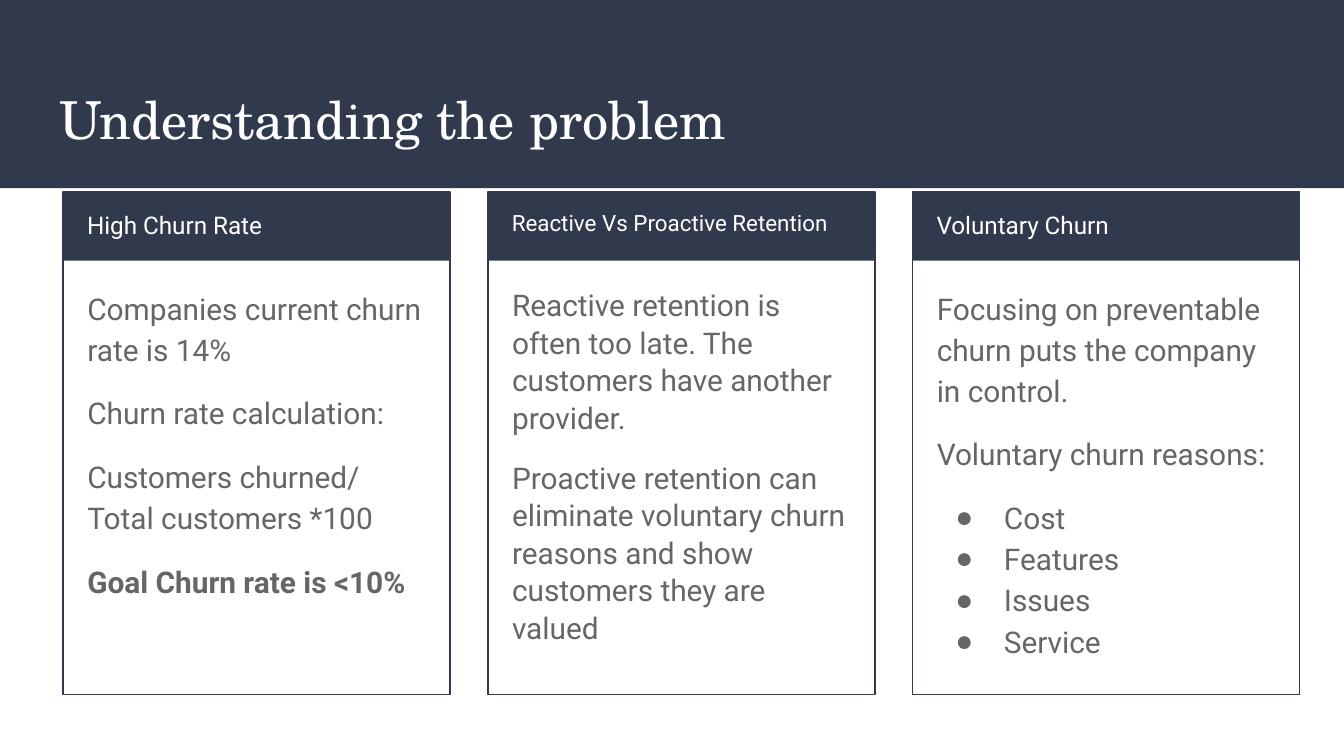
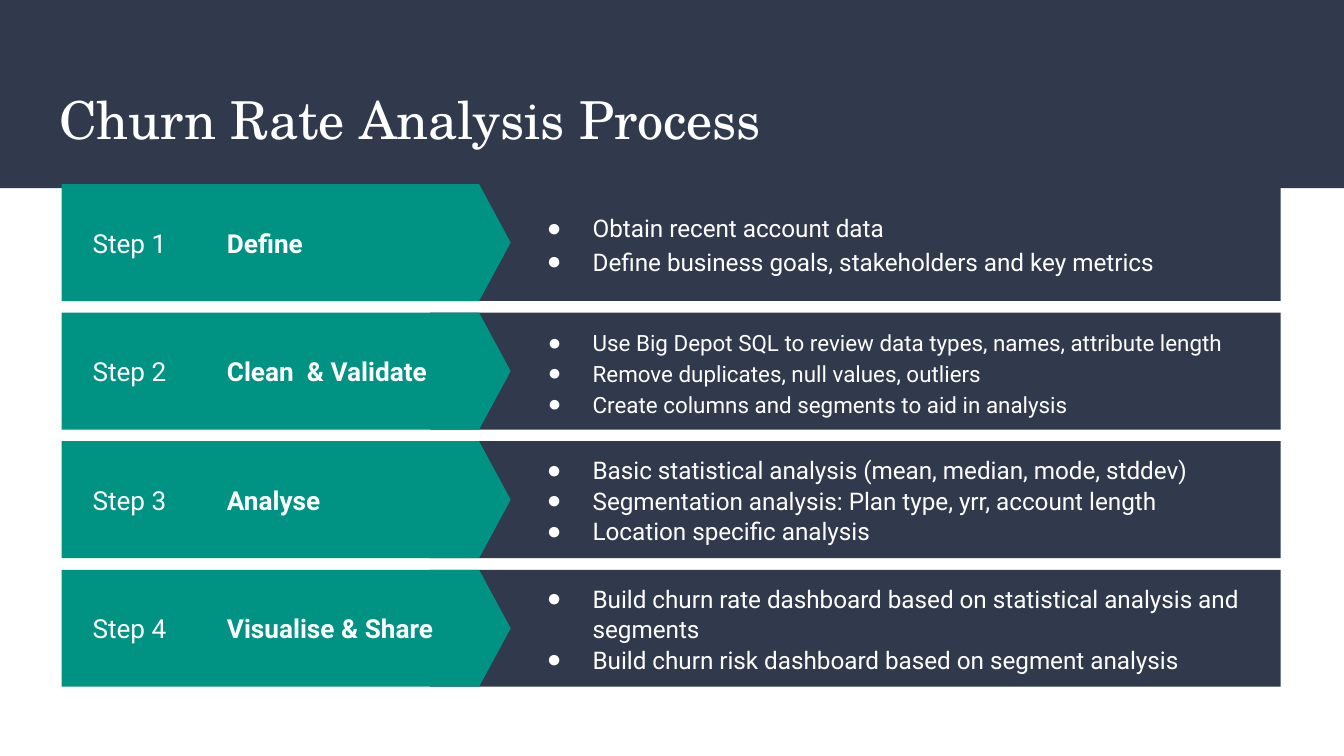
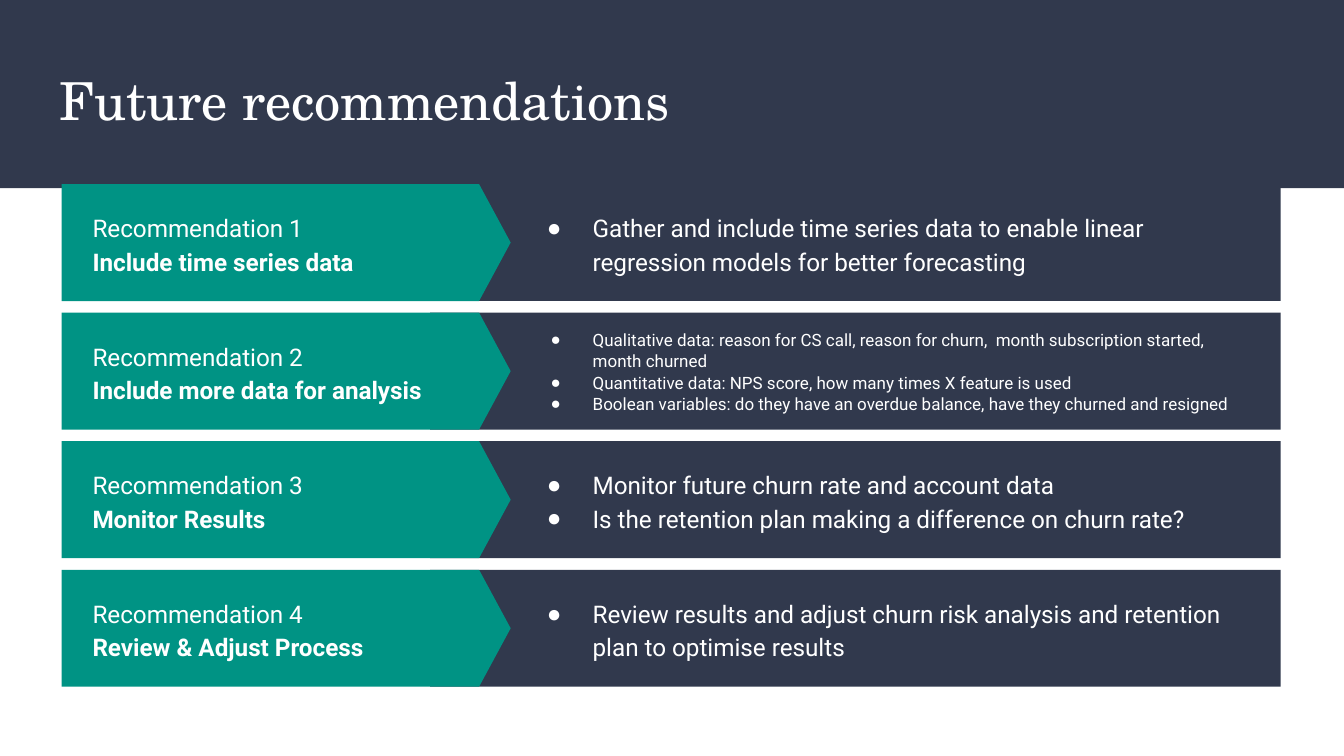
from dataclasses import dataclass

from lxml import etree
from pptx import Presentation
from pptx import util as u
from pptx.dml.color import RGBColor
from pptx.enum import shapes, text
from pptx.oxml import ns

COLORS = {"navy": "31394D", "teal": "009384", "white": "FFFFFF", "grey": "666666"}
TITLE_FONT, BODY_FONT = "TeX Gyre Schola", "Roboto"
INSET = u.Inches(0.1)
COMPARISON_LAYOUT = 4
LIST_IDS = (1, 2, 3, 4)  # body placeholders of the comparison layout

# Card columns
CARD_LEFT, CARD_PITCH, CARD_TOP = 0.47, 3.16, 1.43
CARD_WIDTH, CARD_HEIGHT, HEADING_HEIGHT = 2.88, 3.74, 0.51

# Arrow rows
ROW_TOP, LAST_ROW_TOP, ROW_HEIGHT = 1.37, 4.24, 0.87


@dataclass
class Style:
    size: float
    color: str = "white"
    spacing: float = 1.15
    font: str = BODY_FONT


@dataclass
class Line:
    words: str
    bullet: bool = False
    bold: bool = False
    before: float = 0
    tail: str = ""  # bold words that follow on the same line


@dataclass
class Card:
    heading: str
    heading_size: float
    spacing: float
    lines: list[Line]


@dataclass
class Row:
    label: list[Line]
    points: list[str]
    size: float = 13
    spacing: float = 1.15
    label_width: float = 2.65


def rgb(name: str) -> RGBColor:
    return RGBColor.from_string(COLORS[name])


def place(shape, left: float, top: float, width: float, height: float) -> None:
    shape.left, shape.top = u.Inches(left), u.Inches(top)
    shape.width, shape.height = u.Inches(width), u.Inches(height)


def add_block(parent, kind, box: tuple, fill: str = "", line: str = ""):
    block = parent.add_shape(kind, *map(u.Inches, box))
    block.shadow.inherit = False
    if fill:
        block.fill.solid()
        block.fill.fore_color.rgb = rgb(fill)
    else:
        block.fill.background()
    if line:
        block.line.color.rgb = rgb(line)
        block.line.width = u.Pt(0.75)
    else:
        block.line.fill.background()
    return block


def set_bullet(paragraph, style: Style, shown: bool) -> None:
    props = paragraph._p.get_or_add_pPr()
    hang = 0.25 + style.size * 0.007 if shown else 0
    props.set("marL", str(u.Inches(0.5 if shown else 0)))
    props.set("indent", str(-u.Inches(hang)))
    if not shown:
        etree.SubElement(props, ns.qn("a:buNone"))
        return
    tint = etree.SubElement(props, ns.qn("a:buClr"))
    etree.SubElement(tint, ns.qn("a:srgbClr")).set("val", COLORS[style.color])
    etree.SubElement(props, ns.qn("a:buChar")).set("char", "●")


def write(shape, lines: list[Line], style: Style, middle: bool = False) -> None:
    frame = shape.text_frame
    frame.word_wrap = True
    frame.auto_size = text.MSO_AUTO_SIZE.NONE
    frame.margin_left = frame.margin_right = INSET
    frame.margin_top = frame.margin_bottom = INSET
    anchors = text.MSO_ANCHOR
    frame.vertical_anchor = anchors.MIDDLE if middle else anchors.TOP
    frame.text = "\n".join(line.words for line in lines)
    for paragraph, line in zip(frame.paragraphs, lines):
        paragraph.alignment = text.PP_ALIGN.LEFT
        paragraph.line_spacing = style.spacing
        paragraph.space_before, paragraph.space_after = u.Pt(line.before), u.Pt(0)
        set_bullet(paragraph, style, line.bullet)
        if line.tail:
            paragraph.add_run().text = line.tail
        for position, run in enumerate(paragraph.runs):
            run.font.name, run.font.size = style.font, u.Pt(style.size)
            run.font.color.rgb = rgb(style.color)
            run.font.bold = line.bold or position > 0


def add_label(slide, box: tuple, lines: list[Line], style: Style, middle: bool = False) -> None:
    write(slide.shapes.add_textbox(*map(u.Inches, box)), lines, style, middle)


def fill_list(slide, idx: int, box: tuple, lines: list[Line], style: Style, middle: bool = False) -> None:
    """Fill a body placeholder and bring it in front of its panel."""
    body = next(item for item in slide.placeholders if item.placeholder_format.idx == idx)
    place(body, *box)
    write(body, lines, style, middle)
    body.element.getparent().append(body.element)


def add_slide(deck, title: str, title_top: float = 0.55):
    slide = deck.slides.add_slide(deck.slide_layouts[COMPARISON_LAYOUT])
    place(slide.shapes.title, 0.34, title_top, 9.32, 0.68)
    write(slide.shapes.title, [Line(title)], Style(28, spacing=1, font=TITLE_FONT))
    return slide


def add_band(slide) -> None:
    """Draw the title band and move it to the back of the shared layout."""
    band = add_block(slide.shapes, shapes.MSO_SHAPE.RECTANGLE, (0, 0, 10, 1.4), "navy")
    layout_title = slide.slide_layout.placeholders[0].element
    layout_title.addprevious(band.element)


def add_cards(slide, cards: list[Card]) -> None:
    for column, (idx, card) in enumerate(zip(LIST_IDS, cards)):
        left = CARD_LEFT + column * CARD_PITCH
        panel = slide.shapes.add_group_shape().shapes
        rectangle = shapes.MSO_SHAPE.RECTANGLE
        add_block(panel, rectangle, (left, CARD_TOP, CARD_WIDTH, HEADING_HEIGHT), "navy")
        add_block(panel, rectangle, (left, CARD_TOP, CARD_WIDTH, CARD_HEIGHT), line="navy")
        add_label(slide, (left + 0.08, CARD_TOP, 2.73, 0.5),
                  [Line(card.heading)], Style(card.heading_size))
        fill_list(slide, idx, (left + 0.08, 2.02, 2.71, 3.06),
                  card.lines, Style(16, "grey", card.spacing))


def add_rows(slide, rows: list[Row], label_style: Style) -> None:
    pitch = (LAST_ROW_TOP - ROW_TOP) / (len(rows) - 1)
    for number, (idx, row) in enumerate(zip(LIST_IDS, rows)):
        top = ROW_TOP + number * pitch
        panel = slide.shapes.add_group_shape().shapes
        add_block(panel, shapes.MSO_SHAPE.RECTANGLE, (3.2, top, 6.33, ROW_HEIGHT), "navy")
        arrow = add_block(panel, shapes.MSO_SHAPE.PENTAGON, (0.46, top, 3.34, ROW_HEIGHT), "teal")
        arrow.adjustments[0] = 0.27
        add_label(slide, (0.59, top, row.label_width, ROW_HEIGHT),
                  row.label, label_style, middle=True)
        fill_list(slide, idx, (3.81, top, 5.59, ROW_HEIGHT),
                  [Line(point, bullet=True) for point in row.points],
                  Style(row.size, spacing=row.spacing), middle=True)


def step(number: int, name: str) -> list[Line]:
    return [Line(f"Step {number}\t", tail=name)]


def recommendation(number: int, name: str) -> list[Line]:
    return [Line(f"Recommendation {number}"), Line(name, bold=True)]


CARDS = [
    Card("High Churn Rate", 13, 1.15, [
        Line("Companies current churn rate is 14%"),
        Line("Churn rate calculation:", before=12),
        Line("Customers churned/ Total customers *100", before=12),
        Line("Goal Churn rate is <10%", bold=True, before=12),
    ]),
    Card("Reactive Vs Proactive Retention", 12, 1.05, [
        Line("Reactive retention is often too late. The customers have another provider."),
        Line("Proactive retention can eliminate voluntary churn reasons and show "
             "customers they are valued", before=12),
    ]),
    Card("Voluntary Churn", 13, 1.15, [
        Line("Focusing on preventable churn puts the company in control."),
        Line("Voluntary churn reasons:", before=12),
        Line("Cost", bullet=True, before=12),
        *(Line(reason, bullet=True) for reason in ("Features", "Issues", "Service")),
    ]),
]

STEPS = [
    Row(step(1, "Define"), [
        "Obtain recent account data",
        "Define business goals, stakeholders and key metrics",
    ]),
    Row(step(2, "Clean  & Validate"), [
        "Use Big Depot SQL to review data types, names, attribute length",
        "Remove duplicates, null values, outliers",
        "Create columns and segments to aid in analysis",
    ], size=12, label_width=3.22),
    Row(step(3, "Analyse"), [
        "Basic statistical analysis (mean, median, mode, stddev)",
        "Segmentation analysis: Plan type, yrr, account length",
        "Location specific analysis",
    ], spacing=1.05),
    Row(step(4, "Visualise & Share"), [
        "Build churn rate dashboard based on statistical analysis and segments",
        "Build churn risk dashboard based on segment analysis",
    ], spacing=1.05, label_width=3.22),
]

RECOMMENDATIONS = [
    Row(recommendation(1, "Include time series data"), [
        "Gather and include time series data to enable linear regression models "
        "for better forecasting",
    ]),
    Row(recommendation(2, "Include more data for analysis"), [
        "Qualitative data: reason for CS call, reason for churn,  month subscription "
        "started, month churned",
        "Quantitative data: NPS score, how many times X feature is used",
        "Boolean variables: do they have an overdue balance, have they churned and resigned",
    ], size=9.1, spacing=1.05, label_width=2.95),
    Row(recommendation(3, "Monitor Results"), [
        "Monitor future churn rate and account data",
        "Is the retention plan making a difference on churn rate?",
    ]),
    Row(recommendation(4, "Review & Adjust Process"), [
        "Review results and adjust churn risk analysis and retention plan to optimise results",
    ]),
]


def main() -> None:
    deck = Presentation()
    deck.slide_width = u.Inches(10)
    deck.slide_height = deck.slide_width * 9 // 16

    # Problem
    problem = add_slide(deck, "Understanding the problem")
    add_band(problem)
    add_cards(problem, CARDS)
    for spare in list(problem.placeholders):
        if not spare.text_frame.text:
            spare.element.getparent().remove(spare.element)

    # Process
    process = add_slide(deck, "Churn Rate Analysis Process")
    add_rows(process, STEPS, Style(14, spacing=1))

    # Recommendations
    future = add_slide(deck, "Future recommendations", title_top=0.41)
    add_rows(future, RECOMMENDATIONS, Style(13))

    deck.save("out.pptx")


if __name__ == "__main__":
    main()
